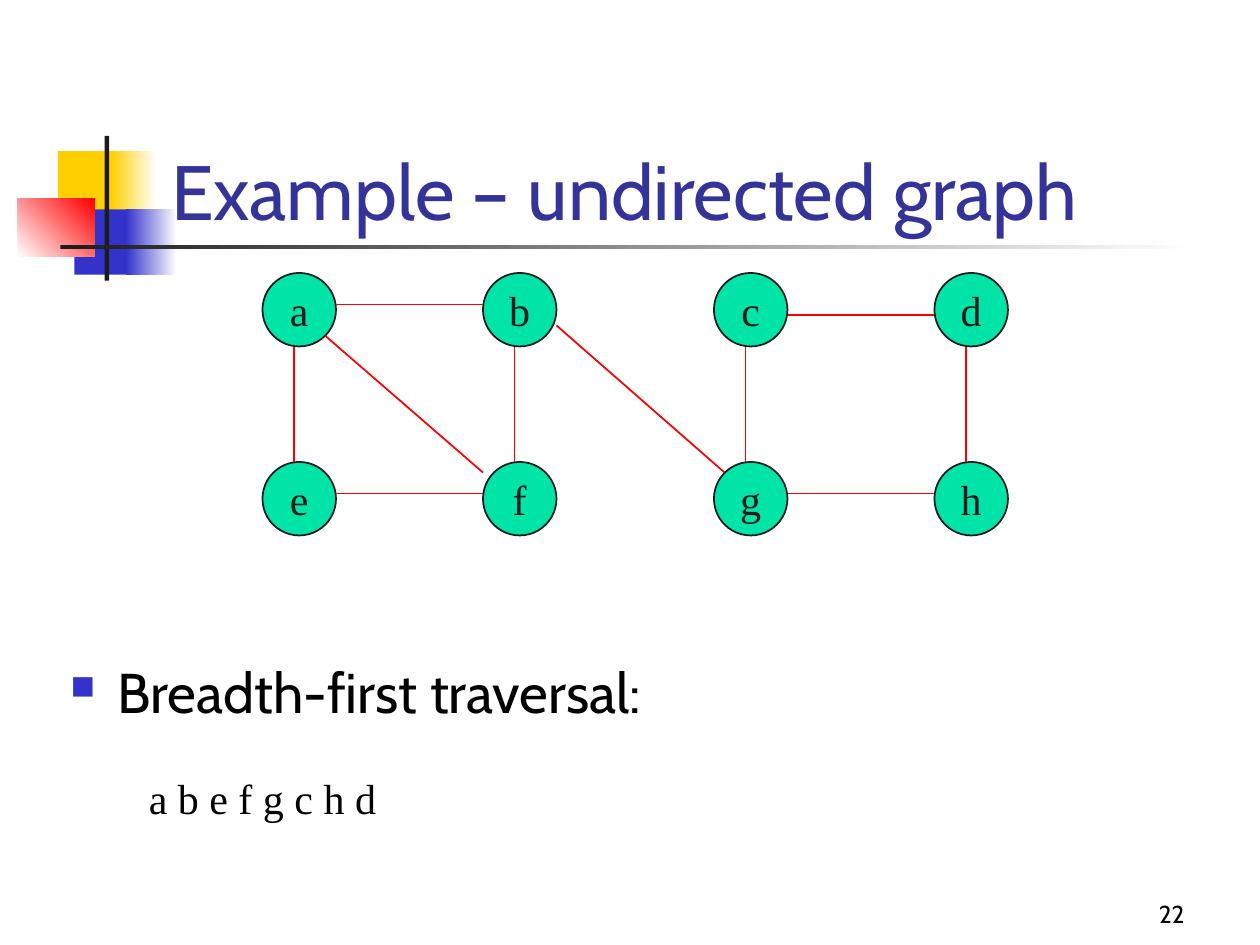
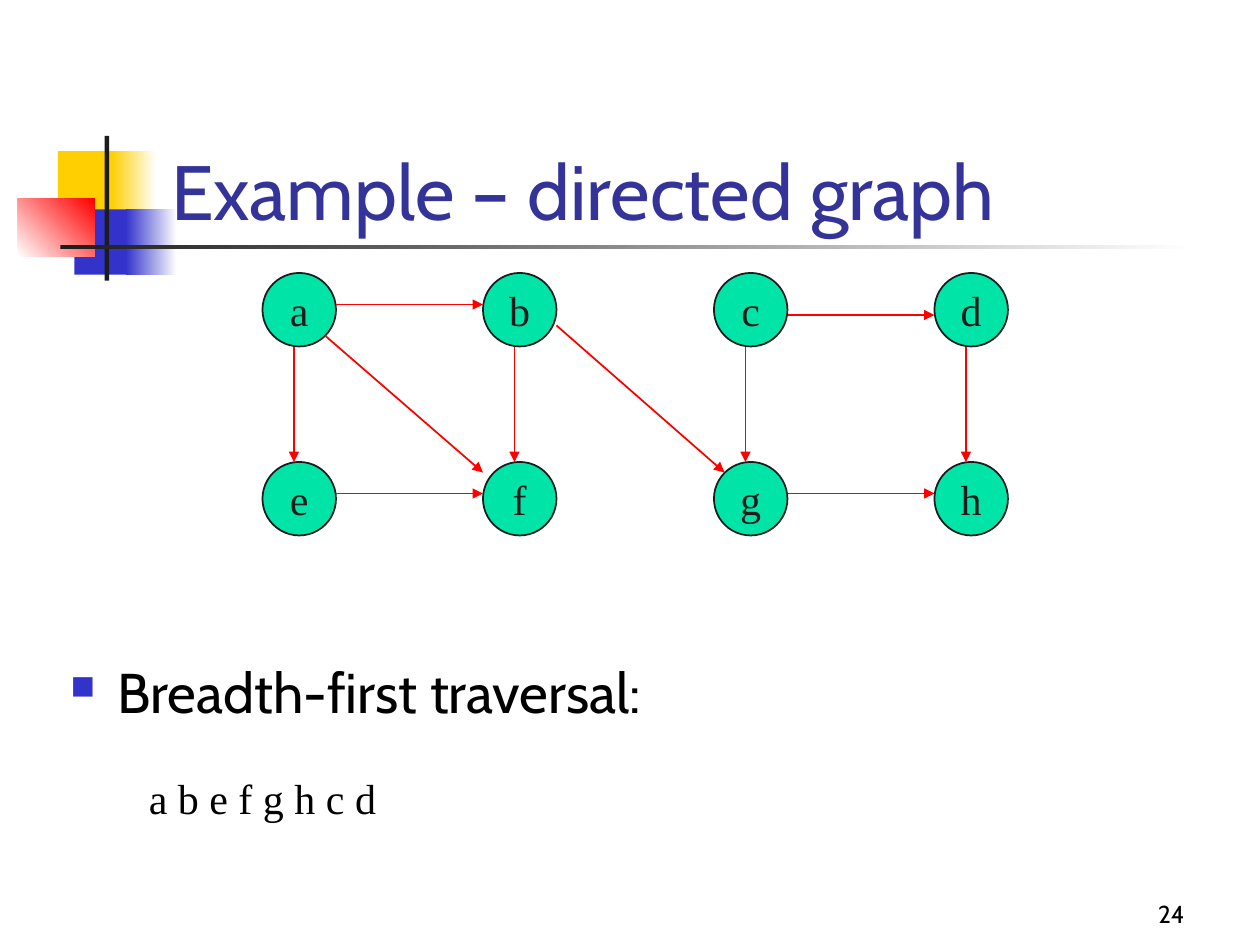
"""Build two slides that compare breadth-first traversal of an undirected and a directed graph."""
from lxml import etree
from pptx import Presentation
from pptx.dml.color import RGBColor
from pptx.enum.shapes import MSO_CONNECTOR, MSO_SHAPE
from pptx.enum.text import MSO_ANCHOR, PP_ALIGN
from pptx.oxml.ns import qn
from pptx.util import Cm, Pt

RECT, OVAL, STRAIGHT = MSO_SHAPE.RECTANGLE, MSO_SHAPE.OVAL, MSO_CONNECTOR.STRAIGHT
LEFT, CENTER, RIGHT = PP_ALIGN.LEFT, PP_ALIGN.CENTER, PP_ALIGN.RIGHT
TOP, MIDDLE, BOTTOM = MSO_ANCHOR.TOP, MSO_ANCHOR.MIDDLE, MSO_ANCHOR.BOTTOM

SANS, SERIF = "Cabin", "Times New Roman"
BLACK, INK, WHITE = "000000", "1C1C1C", "FFFFFF"
NAVY, BLUE, YELLOW, RED, GREEN = "333399", "3333CC", "FFCF01", "FF0000", "00E4A8"

ORNAMENT = [
    ((1.17, 3.05, 1.22, 1.32), [YELLOW], 0),
    ((2.24, 3.05, 0.91, 1.32), [YELLOW, WHITE], 0),
    ((1.5, 4.22, 1.17, 1.32), [BLUE], 0),
    ((2.54, 4.22, 1.02, 1.32), [BLUE, WHITE], 0),
    ((0.36, 4.01, 1.55, 1.17), [WHITE, RED], 45),
    ((2.11, 2.74, 0.09, 2.92), [INK], 0),
    ((1.22, 4.94, 22.86, 0.09), [INK, WHITE], 0),
]

GRID = 2.54 / 12
NODE_SIZE = 7
COLUMNS, ROWS = (25, 46, 68, 89), (26, 44)
NODES = {
    letter: (x, y)
    for y, letters in zip(ROWS, ("abcd", "efgh"))
    for x, letter in zip(COLUMNS, letters)
}
ACROSS, DOWN = ((7, 3), (0, 3)), ((3, 7), (3, 0))
EDGES = {
    "ab": ACROSS, "ae": DOWN, "ef": ACROSS, "bf": DOWN, "af": ((6, 6), (0, 1)),
    "cg": DOWN, "gh": ACROSS, "dh": DOWN, "cd": ((7, 4), (0, 4)), "bg": ((7, 5), (1, 1)),
}

SLIDES = [
    ("Example – undirected graph", "a b e f g c h d", "22", False),
    ("Example – directed graph", "a b e f g h c d", "24", True),
]


def write(holder, text, size, font, color, align=LEFT, anchor=TOP, wrap=True):
    frame = holder.text_frame
    frame.word_wrap = wrap
    frame.vertical_anchor = anchor
    paragraph = frame.paragraphs[0]
    paragraph.alignment = align
    run = paragraph.add_run()
    run.text = text
    run.font.size = Pt(size)
    run.font.name = font
    run.font.color.rgb = RGBColor.from_string(color)
    return paragraph


def draw(slide, preset, box, colors, angle=0):
    shape = slide.shapes.add_shape(preset, *map(Cm, box))
    shape.shadow.inherit = False
    shape.line.fill.background()
    if len(colors) == 1:
        shape.fill.solid()
        shape.fill.fore_color.rgb = RGBColor.from_string(colors[0])
    else:
        shape.fill.gradient()
        shape.fill.gradient_angle = angle
        for stop, color in zip(shape.fill.gradient_stops, colors):
            stop.color.rgb = RGBColor.from_string(color)
    return shape


deck = Presentation()
deck.slide_width, deck.slide_height = Cm(25.4), Cm(19.05)

for title, order, number, directed in SLIDES:
    slide = deck.slides.add_slide(deck.slide_layouts[6])
    for box, colors, angle in ORNAMENT:
        draw(slide, RECT, box, colors, angle)

    page = slide.shapes.add_textbox(Cm(18.85), Cm(17.58), Cm(5.28), Cm(1.27))
    write(page, number, 14, SANS, BLACK, RIGHT, BOTTOM)
    heading = slide.shapes.add_textbox(Cm(3.2), Cm(1.7), Cm(21.64), Cm(3.18))
    write(heading, title, 44, SANS, NAVY, anchor=BOTTOM)

    topic = slide.shapes.add_textbox(Cm(1.17), Cm(13.13), Cm(23.06), Cm(3.18))
    item = write(topic, "Breadth-first traversal:", 32, SANS, BLACK)
    item.space_before = Pt(8)
    bullet = item._p.get_or_add_pPr()
    bullet.set("marL", str(Cm(0.95)))
    bullet.set("indent", str(-Cm(0.95)))
    bullet_color = etree.SubElement(bullet, qn("a:buClr"))
    etree.SubElement(bullet_color, qn("a:srgbClr"), val=BLUE)
    etree.SubElement(bullet, qn("a:buSzPct"), val="60000")
    etree.SubElement(bullet, qn("a:buChar"), char="■")

    for letter, (x, y) in NODES.items():
        node = draw(slide, OVAL, [n * GRID for n in (x, y, NODE_SIZE, NODE_SIZE)], [GREEN])
        node.line.color.rgb = RGBColor.from_string(INK)
        node.line.width = Pt(1)
        write(node, letter, 24, SERIF, INK, CENTER, MIDDLE, wrap=False)

    for ends, offsets in EDGES.items():
        points = [
            Cm((base + shift) * GRID)
            for letter, offset in zip(ends, offsets)
            for base, shift in zip(NODES[letter], offset)
        ]
        edge = slide.shapes.add_connector(STRAIGHT, *points)
        edge.line.color.rgb = RGBColor.from_string(RED)
        edge.line.width = Pt(1)
        etree.SubElement(edge._element.spPr, qn("a:effectLst"))
        if directed:
            etree.SubElement(edge.line._get_or_add_ln(), qn("a:tailEnd"), type="triangle")

    visited = slide.shapes.add_textbox(Cm(2.75), Cm(15.45), Cm(5.5), Cm(1.27))
    write(visited, order, 24, SERIF, BLACK)

deck.save("out.pptx")
